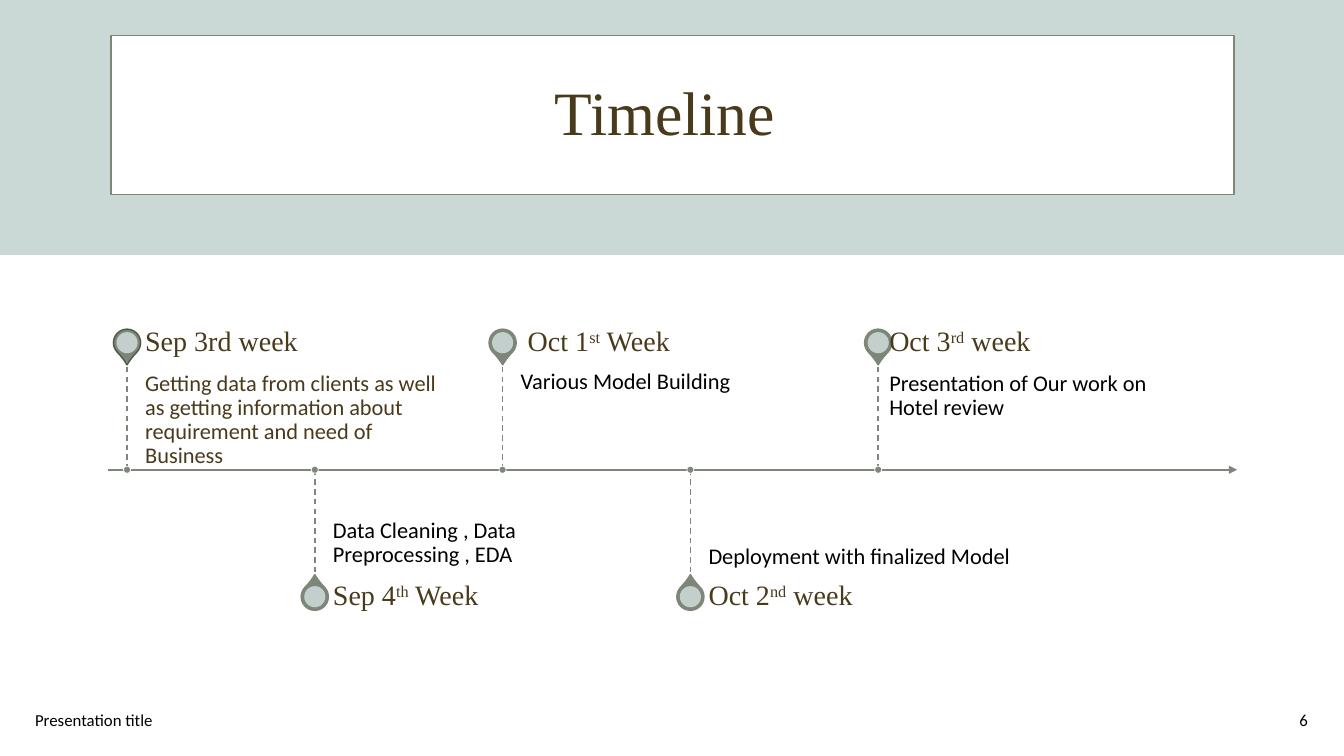
from lxml import etree
from pptx import Presentation
from pptx.dml.color import RGBColor
from pptx.enum.dml import MSO_LINE
from pptx.enum.shapes import MSO_CONNECTOR, MSO_SHAPE
from pptx.enum.text import MSO_ANCHOR, PP_ALIGN
from pptx.oxml.ns import qn
from pptx.util import Inches, Pt

RECT, OVAL, TEAR = MSO_SHAPE.RECTANGLE, MSO_SHAPE.OVAL, MSO_SHAPE.TEAR
STRAIGHT, DASH = MSO_CONNECTOR.STRAIGHT, MSO_LINE.DASH
TOP, MIDDLE, BOTTOM = MSO_ANCHOR.TOP, MSO_ANCHOR.MIDDLE, MSO_ANCHOR.BOTTOM
LEFT, CENTER, RIGHT = PP_ALIGN.LEFT, PP_ALIGN.CENTER, PP_ALIGN.RIGHT

COLORS = {"band": "CAD8D6", "white": "FFFFFF", "sage": "7E8679",
          "moss": "4F5945", "brown": "4A3A1C", "black": "000000"}
SERIF, SANS = "Times New Roman", "Calibri"

# Grid: milestones sit on equal columns and alternate above and below the axis
SLIDE_W, SLIDE_H = 13.33, 7.5
AXIS_Y = 4.66
FIRST_X, LAST_X = 1.26, 8.71
STEM, LABEL_H, PIN_RISE = 1.08, 0.38, 1.26
PIN, PIN_HOLE, DOT = 0.27, 0.21, 0.07

# Date parts (the second is superscript), task, task colour, pin edge, text gap, text width
MILESTONES = [
    (("Sep 3rd week",),
     "Getting data from clients as well as getting information about "
     "requirement and need of Business", "brown", "moss", 0.18, 3.1),
    (("Sep 4", "th", " Week"), "Data Cleaning , Data Preprocessing , EDA",
     "black", "sage", 0.18, 3.1),
    ((" Oct 1", "st", " Week"), "Various Model Building",
     "black", "sage", 0.18, 3.1),
    (("Oct 2", "nd", " week"), "Deployment with finalized Model",
     "black", "sage", 0.18, 3.1),
    (("Oct 3", "rd", " week"), "Presentation of Our work on Hotel review",
     "black", "sage", 0.11, 2.9),
]


def rgb(name):
    return RGBColor.from_string(COLORS[name])


def add_block(s, kind, x, y, w, h, fill, line=None, width=1):
    sp = s.shapes.add_shape(kind, Inches(x), Inches(y), Inches(w), Inches(h))
    sp.shadow.inherit = False
    sp.fill.solid()
    sp.fill.fore_color.rgb = rgb(fill)
    if line:
        sp.line.color.rgb = rgb(line)
        sp.line.width = Pt(width)
    else:
        sp.line.fill.background()
    return sp


def add_centred(s, kind, cx, cy, size, fill, line=None, width=1):
    return add_block(s, kind, cx - size / 2, cy - size / 2, size, size, fill, line, width)


def add_line(s, x1, y1, x2, y2, width, dash=None):
    line = s.shapes.add_connector(STRAIGHT, Inches(x1), Inches(y1), Inches(x2), Inches(y2))
    line.line.color.rgb = rgb("sage")
    line.line.width = Pt(width)
    if dash:
        line.line.dash_style = dash
    etree.SubElement(line._element.spPr, qn("a:effectLst"))
    return line


def format_text(sp, size, font, color, anchor, align=LEFT, insets=(0.1, 0.05, 0.1, 0.05)):
    tf = sp.text_frame
    tf.word_wrap = True
    tf.vertical_anchor = anchor
    tf.margin_left, tf.margin_top, tf.margin_right, tf.margin_bottom = map(Inches, insets)
    p = tf.paragraphs[0]
    p.alignment = align
    p.line_spacing = 0.9
    for r in p.runs:
        r.font.size, r.font.name = Pt(size), font
        r.font.color.rgb = rgb(color)


def add_text(s, x, y, w, h, parts, *style, **options):
    sp = s.shapes.add_textbox(Inches(x), Inches(y), Inches(w), Inches(h))
    p = sp.text_frame.paragraphs[0]
    for i, part in enumerate(parts):
        r = p.add_run()
        r.text = part
        if i == 1:
            r._r.get_or_add_rPr().set("baseline", "30000")
    format_text(sp, *style, **options)


def add_header(s):
    add_block(s, RECT, 0, 0, SLIDE_W, 2.53, "band")
    add_block(s, RECT, 1.1, 0.35, 11.14, 1.58, "white", "sage")
    title = s.shapes.title
    title.left, title.top, title.width, title.height = map(Inches, (0.42, 0.42, 12.5, 1.45))
    title.text_frame.text = "Timeline "
    format_text(title, 44, SERIF, "brown", MIDDLE, CENTER)
    # Bring the title in front of the band
    title._element.getparent().append(title._element)


def add_axis(s):
    axis = add_line(s, 1.07, AXIS_Y, 12.27, AXIS_Y, 1.5)
    etree.SubElement(axis.line._get_or_add_ln(), qn("a:tailEnd"), type="triangle")


def add_milestone(s, x, above, date, task, task_color, edge, gap, width):
    side = -1 if above else 1
    pin_y = AXIS_Y + side * PIN_RISE

    # Pin pointing at the axis
    pin = add_centred(s, TEAR, x, pin_y, PIN, "sage", edge)
    pin.adjustments[0] = 1.15
    pin.rotation = 135 if above else 315
    hole = add_centred(s, OVAL, x, pin_y, PIN_HOLE, "band")
    tint = hole._element.spPr.find(qn("a:solidFill"))[0]
    etree.SubElement(tint, qn("a:alpha"), val="90000")

    # Task next to the stem, date next to the pin
    task_y = AXIS_Y - STEM if above else AXIS_Y
    insets = (0, 0.11, 0.11, 0.17) if above else (0, 0.17, 0, 0.11)
    add_text(s, x + gap, task_y, width, STEM, (task,), 16, SANS, task_color,
             TOP if above else BOTTOM, insets=insets)
    add_text(s, x + gap, pin_y - LABEL_H / 2, width, LABEL_H, date, 20, SERIF, "brown",
             MIDDLE, insets=(0, 0, 0.14, 0))

    # Stem and its dot on the axis
    add_line(s, x, AXIS_Y, x, AXIS_Y + side * STEM, 1, DASH)
    add_centred(s, OVAL, x, AXIS_Y, DOT, "sage", "white", 0.5)


def add_footer(s):
    add_text(s, 0.25, 6.95, 4.5, 0.4, ("Presentation title",), 12, SANS, "black", MIDDLE)
    add_text(s, 10.07, 6.95, 3, 0.4, ("6",), 12, SANS, "black", MIDDLE, RIGHT)


def main():
    prs = Presentation()
    prs.slide_width, prs.slide_height = Inches(SLIDE_W), Inches(SLIDE_H)
    s = prs.slides.add_slide(prs.slide_layouts.get_by_name("Title Only"))
    add_header(s)
    add_footer(s)
    add_axis(s)
    step = (LAST_X - FIRST_X) / (len(MILESTONES) - 1)
    for i, milestone in enumerate(MILESTONES):
        add_milestone(s, FIRST_X + i * step, i % 2 == 0, *milestone)
    prs.save("out.pptx")


if __name__ == "__main__":
    main()
